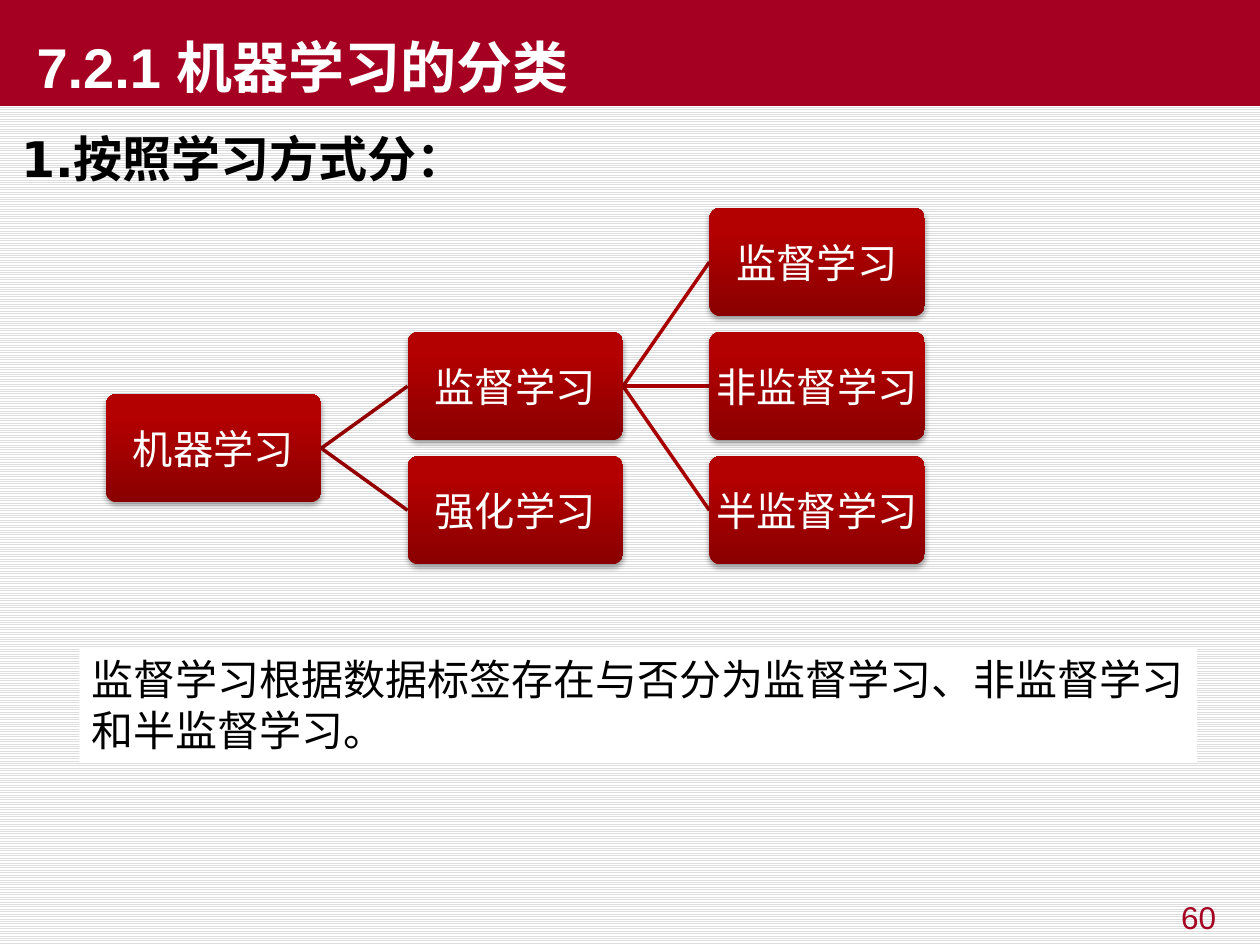
import pptx
import pptx.util
import pptx.dml.color
import pptx.enum.dml
import pptx.enum.shapes
import pptx.enum.text
import pptx.oxml
import pptx.oxml.ns

Inches = pptx.util.Inches
RGBColor = pptx.dml.color.RGBColor
ALIGN = pptx.enum.text.PP_ALIGN
ANCHOR = pptx.enum.text.MSO_ANCHOR
SHAPES = pptx.enum.shapes.MSO_SHAPE

CRIMSON = RGBColor(0xA5, 0x00, 0x21)
DEEP_RED = RGBColor(0x8A, 0x00, 0x00)
BRIGHT_RED = RGBColor(0xB3, 0x00, 0x00)
FIRST_BRANCH = RGBColor(0x94, 0x00, 0x00)
SECOND_BRANCH = RGBColor(0xA8, 0x00, 0x00)
WHITE = RGBColor(0xFF, 0xFF, 0xFF)
BLACK = RGBColor(0x00, 0x00, 0x00)
STRIPE = RGBColor(0xDD, 0xDD, 0xDD)

TITLE = "7.2.1 机器学习的分类"
HEADING = "1.按照学习方式分："
SUMMARY = "监督学习根据数据标签存在与否分为监督学习、非监督学习和半监督学习。"
PAGE = "60"

NODES = {
    "root": ("机器学习", 0, 1.5),
    "supervision": ("监督学习", 1, 1),
    "reinforcement": ("强化学习", 1, 2),
    "supervised": ("监督学习", 2, 0),
    "unsupervised": ("非监督学习", 2, 1),
    "semi": ("半监督学习", 2, 2),
}
BRANCHES = [
    ("root", ("supervision", "reinforcement"), FIRST_BRANCH),
    ("supervision", ("supervised", "unsupervised", "semi"), SECOND_BRANCH),
]
TREE_LEFT, TREE_TOP = 0.84, 1.65
NODE_W, NODE_H = 1.71, 0.86
COLUMN_STEP = (5.63 - TREE_LEFT) / 2
ROW_STEP = (3.62 - TREE_TOP) / 2

NODE_SHADOW = (
    f'<a:effectLst {pptx.oxml.ns.nsdecls("a")}>'
    '<a:outerShdw blurRad="40000" dist="23000" dir="5400000" rotWithShape="0">'
    '<a:srgbClr val="000000"><a:alpha val="35000"/></a:srgbClr>'
    '</a:outerShdw></a:effectLst>'
)
NO_EFFECT = f'<a:effectLst {pptx.oxml.ns.nsdecls("a")}/>'


def write(shape, text, size, color, font="Arial", bold=False,
          align=ALIGN.LEFT, anchor=ANCHOR.TOP, inset=None):
    frame = shape.text_frame
    frame.word_wrap = True
    frame.auto_size = pptx.enum.text.MSO_AUTO_SIZE.NONE
    frame.vertical_anchor = anchor
    if inset is not None:
        frame.margin_left = frame.margin_right = Inches(inset)
        frame.margin_top = frame.margin_bottom = Inches(inset)
    paragraph = frame.paragraphs[0]
    paragraph.alignment = align
    run = paragraph.add_run()
    run.text = text
    run.font.size = pptx.util.Pt(size)
    run.font.name = font
    run.font.bold = bold
    run.font.color.rgb = color
    return paragraph


def node_corner(key):
    label, column, row = NODES[key]
    return TREE_LEFT + column * COLUMN_STEP, TREE_TOP + row * ROW_STEP


def add_branch(slide, parent, child, color):
    x1, y1 = node_corner(parent)
    x2, y2 = node_corner(child)
    branch = slide.shapes.add_connector(
        pptx.enum.shapes.MSO_CONNECTOR.STRAIGHT,
        Inches(x1 + NODE_W), Inches(y1 + NODE_H / 2),
        Inches(x2), Inches(y2 + NODE_H / 2))
    branch.line.color.rgb = color
    branch.line.width = pptx.util.Pt(2)
    branch._element.spPr.append(pptx.oxml.parse_xml(NO_EFFECT))


def add_node(slide, key):
    x, y = node_corner(key)
    node = slide.shapes.add_shape(
        SHAPES.ROUNDED_RECTANGLE,
        Inches(x), Inches(y), Inches(NODE_W), Inches(NODE_H))
    node.adjustments[0] = 0.1
    node.fill.gradient()
    node.fill.gradient_angle = 90
    bottom, top = node.fill.gradient_stops
    bottom.color.rgb, bottom.position = DEEP_RED, 0
    top.color.rgb, top.position = BRIGHT_RED, 0.8
    node.line.fill.background()
    node._element.spPr.append(pptx.oxml.parse_xml(NODE_SHADOW))
    write(node, NODES[key][0], 23, WHITE, align=ALIGN.CENTER,
          anchor=ANCHOR.MIDDLE, inset=0.02)


def main():
    deck = pptx.Presentation()
    deck.slide_width, deck.slide_height = Inches(10), Inches(7.5)
    slide = deck.slides.add_slide(deck.slide_layouts[5])
    background = slide.background.fill
    background.patterned()
    background.pattern = pptx.enum.dml.MSO_PATTERN.LIGHT_HORIZONTAL
    background.fore_color.rgb = STRIPE
    background.back_color.rgb = WHITE

    title = slide.shapes.title
    title.left, title.top = Inches(0), Inches(0)
    title.width, title.height = Inches(10), Inches(0.84)
    title.fill.solid()
    title.fill.fore_color.rgb = CRIMSON
    title_line = write(title, TITLE, 32, WHITE, bold=True, anchor=ANCHOR.BOTTOM)
    title_line._p.get_or_add_pPr().set("indent", str(Inches(0.19)))

    page = slide.shapes.add_textbox(
        Inches(7.58), Inches(7.08), Inches(2.17), Inches(0.39))
    write(page, PAGE, 18, CRIMSON, align=ALIGN.RIGHT)

    for parent, children, color in BRANCHES:
        for child in children:
            add_branch(slide, parent, child, color)
    for key in NODES:
        add_node(slide, key)

    summary = slide.shapes.add_shape(
        SHAPES.RECTANGLE, Inches(0.63), Inches(5.14), Inches(8.87), Inches(0.91))
    summary.shadow.inherit = False
    summary.fill.solid()
    summary.fill.fore_color.rgb = WHITE
    summary.line.fill.background()
    write(summary, SUMMARY, 24, BLACK, font="DejaVu Sans")

    heading = slide.shapes.add_textbox(
        Inches(0.07), Inches(0.97), Inches(3.74), Inches(0.57))
    write(heading, HEADING, 28, BLACK, font="DejaVu Sans", bold=True)

    deck.save("out.pptx")


if __name__ == "__main__":
    main()
